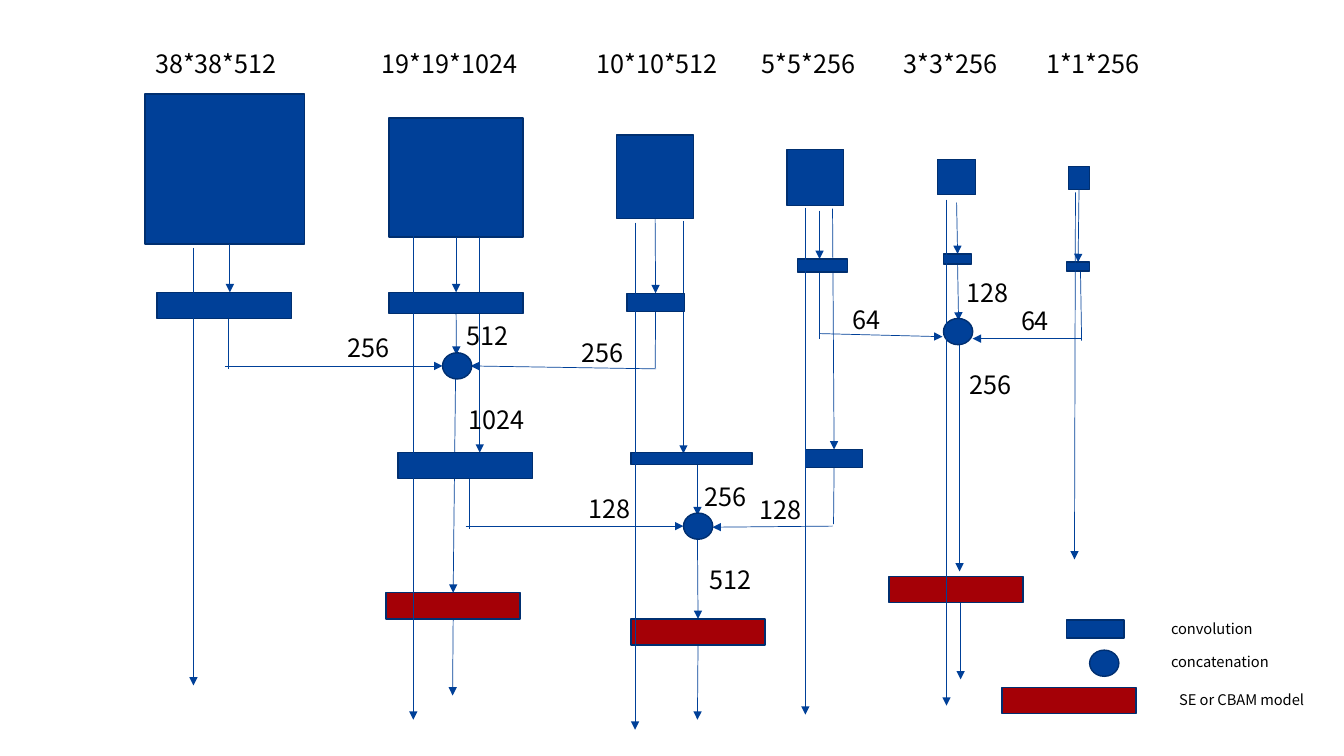
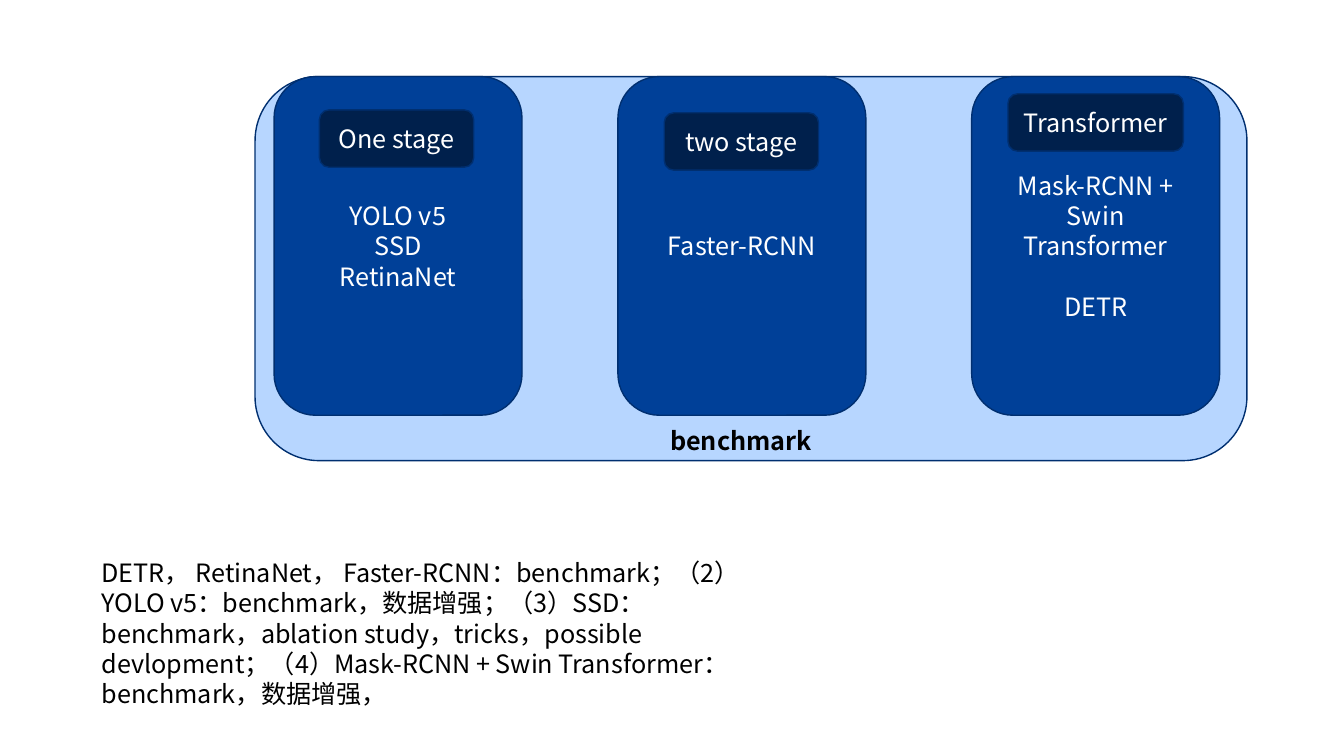
from lxml import etree
from pptx import Presentation
from pptx import util as u
from pptx.dml.color import RGBColor
from pptx.enum import shapes, text
from pptx.oxml.ns import qn

COLORS = {"blue": "004098", "edge": "002F70", "red": "A40006", "pale": "B7D6FF",
          "navy": "00204C", "black": "000000", "white": "FFFFFF"}
FONT = "Noto Sans CJK SC"
JOIN_DISTANCE = 1.5
RECT, OVAL, ROUND = (shapes.MSO_SHAPE.RECTANGLE, shapes.MSO_SHAPE.OVAL,
                     shapes.MSO_SHAPE.ROUNDED_RECTANGLE)

deck = Presentation()
deck.slide_width, deck.slide_height = u.Pt(960), u.Pt(540)


def add_box(page, bounds, lines=(), kind=None, fill=None, size=18, color="black",
            bold=False, gap=0):
    """Add a filled shape, or a text box if kind is None; gap separates the lines."""
    bounds = [u.Pt(value) for value in bounds]
    if kind is None:
        box = page.shapes.add_textbox(*bounds)
        box.text_frame.auto_size = text.MSO_AUTO_SIZE.SHAPE_TO_FIT_TEXT
    else:
        box = page.shapes.add_shape(kind, *bounds)
        box.shadow.inherit = False
        box.fill.solid()
        box.fill.fore_color.rgb = RGBColor.from_string(COLORS[fill])
        box.line.color.rgb = RGBColor.from_string(COLORS["edge"])
        box.line.width = u.Pt(1)
        box.text_frame.vertical_anchor = text.MSO_ANCHOR.MIDDLE
    frame = box.text_frame
    frame.word_wrap = True
    for index, line in enumerate(lines):
        para = frame.add_paragraph() if index else frame.paragraphs[0]
        para.alignment = text.PP_ALIGN.CENTER if kind else text.PP_ALIGN.LEFT
        if index:
            para.space_before = u.Pt(gap)
        span = para.add_run()
        span.text = line
        span.font.name, span.font.size, span.font.bold = FONT, u.Pt(size), bold
        span.font.color.rgb = RGBColor.from_string(COLORS[color])
    return box


def add_flow(page, blocks, x1, y1, x2, y2, head=True):
    """Add a thin line, joined to any block whose side has its middle at an end."""
    flow = page.shapes.add_connector(shapes.MSO_CONNECTOR.STRAIGHT,
                                     u.Pt(x1), u.Pt(y1), u.Pt(x2), u.Pt(y2))
    flow.line.color.rgb = RGBColor.from_string(COLORS["blue"])
    flow.line.width = u.Pt(0.5)
    if head:
        etree.SubElement(flow.line._get_or_add_ln(), qn("a:tailEnd"), type="triangle")
    etree.SubElement(flow._element.spPr, qn("a:effectLst"))
    for x, y, connect in ((x1, y1, flow.begin_connect), (x2, y2, flow.end_connect)):
        for block in blocks:
            middle = block.left.pt + block.width.pt / 2
            sides = ((0, block.top.pt), (2, block.top.pt + block.height.pt))
            for site, edge in sides:
                if max(abs(x - middle), abs(y - edge)) <= JOIN_DISTANCE:
                    connect(block, site)


# Feature fusion network
page = deck.slides.add_slide(deck.slide_layouts[6])

stages = [  # title, title left, title width, square
    ("38*38*512", 103.7, 121.7, (103.7, 67, 113.8, 107.3)),
    ("19*19*1024", 265.7, 121.7, (277.9, 84.2, 95.8, 85)),
    ("10*10*512", 419, 121.7, (440.6, 96.5, 54.7, 59.8)),
    ("5*5*256", 537.1, 89.3, (562.3, 106.6, 40.3, 40.3)),
    ("3*3*256", 638.6, 89.3, (669.6, 113.8, 27.4, 25.2)),
    ("1*1*256", 740.2, 89.3, (763.2, 118.8, 15.1, 16.6)),
]
convolutions = [
    (112.3, 208.8, 95.8, 18.7), (277.9, 208.8, 95.8, 15.1), (447.8, 209.5, 41, 13),
    (569.5, 185, 36, 9.4), (673.9, 181.4, 20.2, 7.2), (761.8, 187.2, 16.6, 6.5),
    (284.4, 323.3, 95.8, 18.7), (450.7, 323.3, 86.4, 8.6), (575.3, 321.1, 41, 13),
    (761.8, 442.8, 41, 13),
]
concatenations = [(316.1, 252), (673.9, 227.5), (488.2, 366.5), (778.3, 464.4)]
attentions = [(275.8, 423.4), (450.7, 442.1), (635, 411.8), (715.7, 491)]

blocks = []
for title, left, width, square in stages:
    add_box(page, (left, 31, width, 28.8), [title])
    blocks.append(add_box(page, square, kind=RECT, fill="blue"))

inner_arrows = [
    (164.2, 174.2, 164.2, 208.8), (160.6, 261.4, 316.1, 261.4),
    (326, 169.2, 326, 208.8), (326, 224, 326, 253.4),
    (468.3, 156.3, 468.3, 209.5), (468.7, 263.5, 336.2, 261.4),
    (325.4, 270, 323.3, 423.4),
    (585.4, 150.5, 585.4, 185), (585.4, 238.3, 673.2, 240.5),
    (683.3, 144.7, 684, 181.4), (684.7, 188.6, 684.7, 229),
    (771, 136, 771, 187.5), (772.6, 241.9, 694.8, 241.9),
    (685.4, 243.4, 685.4, 408.2),
    (342.7, 169.2, 342.7, 323.3), (332.6, 375.8, 488.2, 375.8),
    (488.2, 157.7, 488.2, 324), (498.2, 331.9, 498.2, 368),
    (594.7, 149, 594.7, 320.4), (594.7, 375.8, 509, 376.6),
    (498.2, 385.2, 498.2, 442.1),
    (323.3, 442.1, 323.3, 496.8), (498.2, 460.8, 498.2, 514.1),
    (686.2, 430.6, 686.2, 485.3),
]
elbows = [
    (163.4, 227.5, 163.4, 263.5), (468, 222.5, 468, 262.8),
    (585.4, 194.4, 585.4, 241.9), (771.8, 193.7, 772.6, 243.4),
    (335.5, 342, 335.5, 378), (595.4, 334.1, 595.4, 374.4),
]
skip_arrows = [
    (138.2, 177.1, 138.2, 489.6), (295.2, 167.8, 295.2, 514.1),
    (453.6, 159.1, 453.6, 521.3), (575.3, 148.3, 575.3, 510.5),
    (676.1, 142.6, 676.1, 504), (768.2, 137.5, 767.5, 399.6),
]

for bounds in convolutions:
    blocks.append(add_box(page, bounds, kind=RECT, fill="blue"))
for left, top in attentions:
    blocks.append(add_box(page, (left, top, 95.8, 18.7), kind=RECT, fill="red"))
for ends in inner_arrows:
    add_flow(page, blocks, *ends)
for ends in elbows:
    add_flow(page, blocks, *ends, head=False)
for block in blocks[len(stages):]:  # blocks cover the flows that pass behind them
    page.shapes._spTree.append(block._element)
for left, top in concatenations:
    add_box(page, (left, top, 20.9, 18.7), kind=OVAL, fill="blue")
for ends in skip_arrows:
    add_flow(page, blocks, *ends)

channels = [
    ("512", 326.2, 225.4), ("256", 408.2, 237.6), ("256", 241.2, 234),
    ("1024", 327.6, 285.1), ("128", 683.3, 194.4), ("64", 722.2, 214.6),
    ("64", 601.9, 213.8), ("256", 685.4, 260.6), ("256", 496.1, 340.6),
    ("128", 535.7, 349.2), ("128", 413.3, 348.5), ("512", 499.7, 399.6),
]
for count, left, top in channels:
    add_box(page, (left, top, 82.8, 28.8), [count])

legend = [("convolution", 829.4, 439.2), ("concatenation", 829.4, 463),
          ("SE or CBAM model", 835.2, 489.6)]
for name, left, top in legend:
    add_box(page, (left, top, 124, 20.2), [name], size=10.5)

# Benchmark models
page = deck.slides.add_slide(deck.slide_layouts[6])
add_box(page, (182.2, 54.7, 708.5, 274.3), kind=ROUND, fill="pale")
add_box(page, (65.5, 394.6, 480.2, 116.6), [
    "DETR， RetinaNet， Faster-RCNN：benchmark；（2）YOLO v5：benchmark，数据增强；"
    "（3）SSD：benchmark，ablation study，tricks，possible devlopment；"
    "（4）Mask-RCNN + Swin Transformer：benchmark，数据增强，"])

families = [  # left, models, gap between models, heading, heading bounds
    (195.8, ["YOLO v5", "SSD", "RetinaNet"], 0, "One stage", (228.2, 78.5, 110.2, 41)),
    (441.4, ["Faster-RCNN"], 0, "two stage", (474.5, 80.6, 110.2, 41)),
    (694.1, ["Mask-RCNN + Swin Transformer", "DETR"], 21.6, "Transformer",
     (720, 67, 125.3, 41)),
]
for left, models, gap, heading, bounds in families:
    add_box(page, (left, 54.7, 177.1, 241.9), models, ROUND, "blue", color="white", gap=gap)
    add_box(page, bounds, [heading], ROUND, "navy", color="white")
add_box(page, (471.6, 300.2, 205.9, 28.8), ["benchmark"], bold=True)

deck.save("out.pptx")
